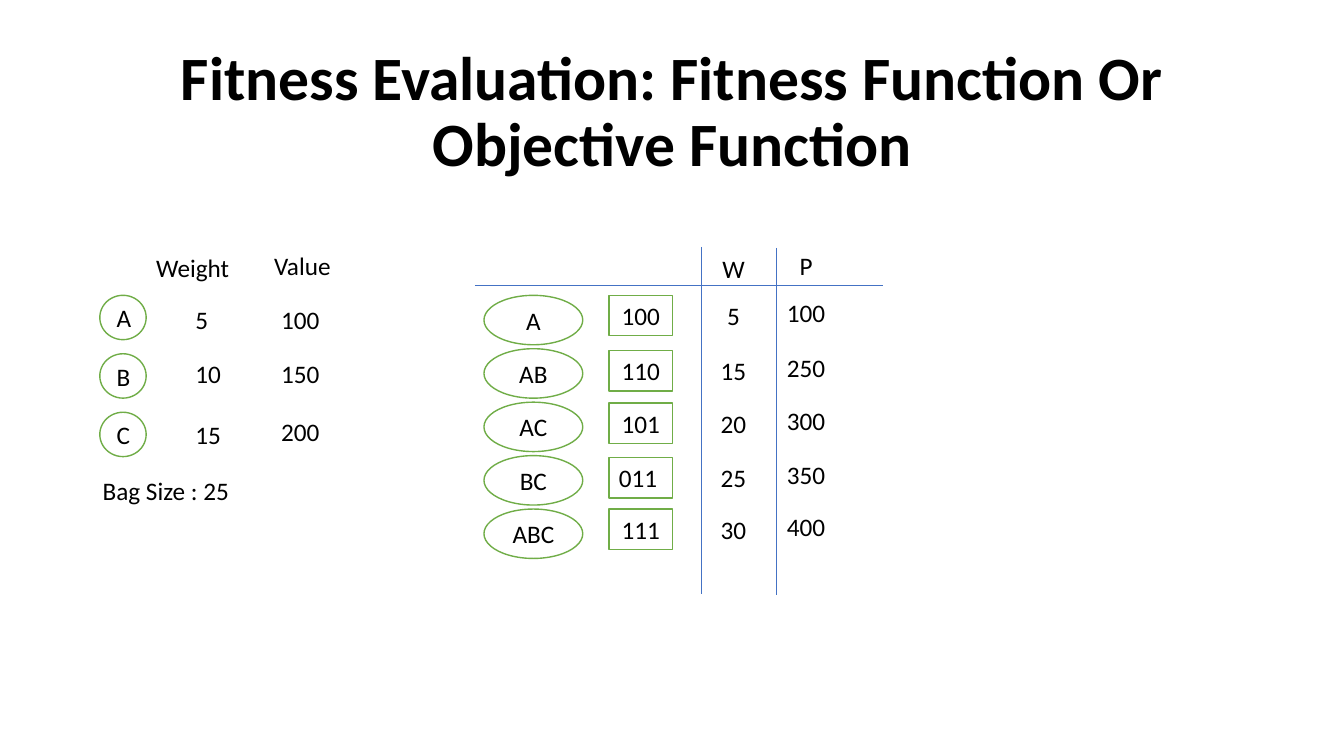
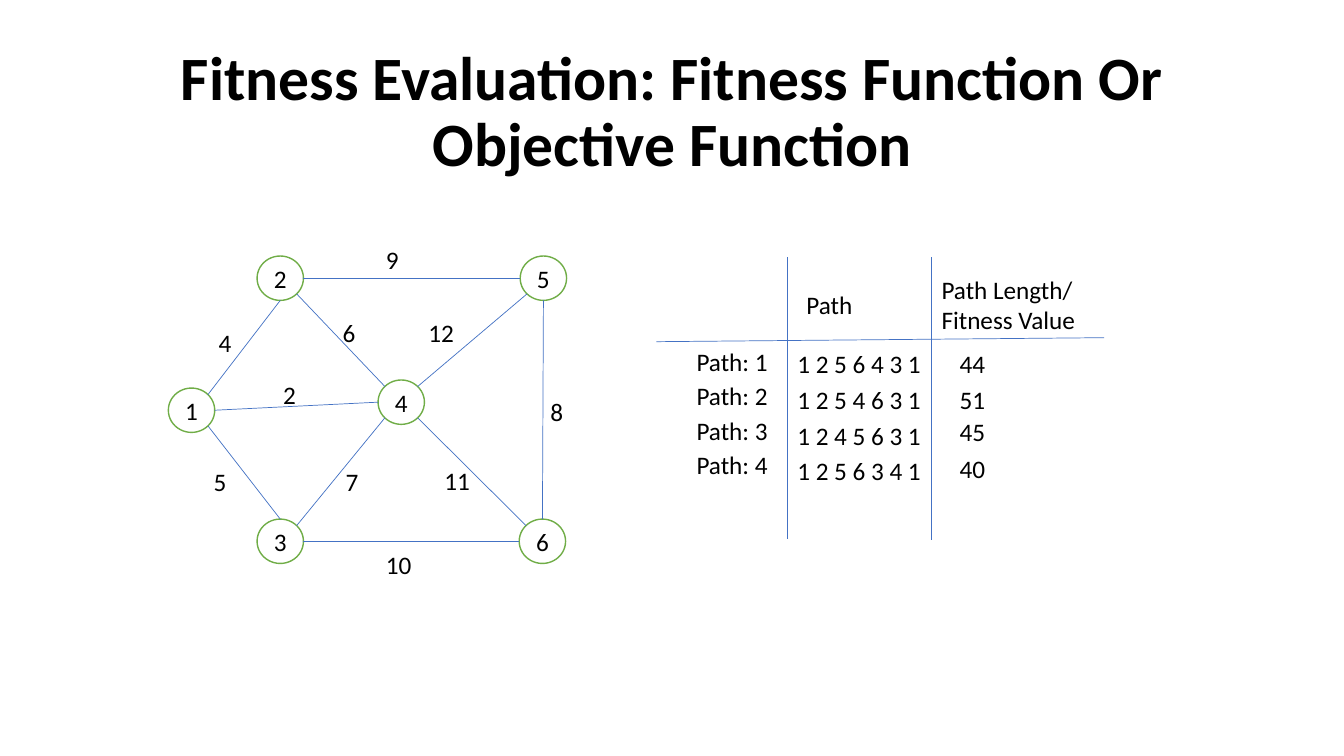
from dataclasses import dataclass
from math import cos, radians, sin
from typing import NamedTuple

from lxml.etree import SubElement
from pptx import Presentation
from pptx.dml.color import RGBColor as Rgb
from pptx.enum.shapes import MSO_CONNECTOR as Wire, MSO_SHAPE as Form
from pptx.enum.text import MSO_ANCHOR as Anchor, MSO_AUTO_SIZE as Fit, PP_ALIGN as Align
from pptx.oxml.ns import qn
from pptx.slide import Slide
from pptx.text.text import TextFrame
from pptx.util import Inches, Pt


@dataclass(frozen=True)
class Theme:
    font: str = "Calibri"
    ink: Rgb = Rgb(0, 0, 0)
    paper: Rgb = Rgb(255, 255, 255)
    green: Rgb = Rgb(0x70, 0xAD, 0x47)
    blue: Rgb = Rgb(0x44, 0x72, 0xC4)
    head: int = 44
    body: int = 18
    edge: float = 1
    rule: float = 0.5


class Label(NamedTuple):
    text: str
    left: float
    top: float
    width: float = 0.85
    height: float = 0.4


class Node(NamedTuple):
    text: str
    left: float
    top: float


class Edge(NamedTuple):
    start: str
    side: str
    end: str
    far: str


class Row(NamedTuple):
    items: str
    code: str
    weight: str
    price: str
    top: float


class Route(NamedTuple):
    name: str
    steps: str
    value: str
    tops: tuple[float, float, float]


THEME = Theme()
TITLE = "Fitness Evaluation: Fitness Function Or Objective Function"
NODE_W, NODE_H = 0.46, 0.44
TURN = {side: 45 * i for i, side in enumerate(("E", "SE", "S", "SW", "W", "NW", "N", "NE"))}


# Shared drawing functions
def style(frame: TextFrame, size: int, align: Align, bold: bool = False) -> None:
    for para in frame.paragraphs:
        para.alignment = align
        for run in para.runs:
            run.font.name = THEME.font
            run.font.size = Pt(size)
            run.font.bold = bold
            run.font.color.rgb = THEME.ink


def add_label(slide: Slide, label: Label) -> None:
    box = slide.shapes.add_textbox(*map(Inches, label[1:]))
    frame = box.text_frame
    frame.word_wrap = True
    frame.auto_size = Fit.SHAPE_TO_FIT_TEXT
    frame.text = label.text
    style(frame, THEME.body, Align.LEFT)


def add_form(slide: Slide, form: Form, label: Label, line: Rgb = THEME.green,
             align: Align = Align.CENTER) -> None:
    shape = slide.shapes.add_shape(form, *map(Inches, label[1:]))
    shape.shadow.inherit = False
    shape.fill.solid()
    shape.fill.fore_color.rgb = THEME.paper
    shape.line.color.rgb = line
    shape.line.width = Pt(THEME.edge)
    shape.text_frame.text = label.text
    style(shape.text_frame, THEME.body, align)


def add_cell(slide: Slide, text: str, left: float, top: float, line: Rgb = THEME.paper,
             align: Align = Align.CENTER) -> None:
    add_form(slide, Form.RECTANGLE, Label(text, left, top, 0.63), line, align)


def add_node(slide: Slide, node: Node) -> None:
    add_form(slide, Form.FLOWCHART_CONNECTOR, Label(*node, NODE_W, NODE_H))


def add_line(slide: Slide, x1: float, y1: float, x2: float, y2: float) -> None:
    line = slide.shapes.add_connector(Wire.STRAIGHT, *map(Inches, (x1, y1, x2, y2)))
    line.line.color.rgb = THEME.blue
    line.line.width = Pt(THEME.rule)
    SubElement(line._element.spPr, qn("a:effectLst"))


def rim(node: Node, side: str) -> tuple[float, float]:
    angle = radians(TURN[side])
    return (node.left + NODE_W / 2 * (1 + cos(angle)),
            node.top + NODE_H / 2 * (1 + sin(angle)))


def add_slide(deck: Presentation) -> Slide:
    slide = deck.slides.add_slide(deck.slide_layouts[6])
    box = slide.shapes.add_textbox(*map(Inches, (0.92, 0.4, 11.5, 1.45)))
    frame = box.text_frame
    frame.word_wrap = True
    frame.vertical_anchor = Anchor.MIDDLE
    frame.text = TITLE
    frame.paragraphs[0].line_spacing = 0.9
    style(frame, THEME.head, Align.CENTER, bold=True)
    return slide


# Bag slide: items on the left, choices on the right
ITEMS = (("A", "5", "100", 2.97, 2.97), ("B", "10", "150", 3.51, 3.51),
         ("C", "15", "200", 4.11, 4.08))
HEADS = (Label("Weight", 1.45, 2.45, 1.16), Label("Value", 2.62, 2.43),
         Label("Bag Size : 25", 0.92, 4.67, 1.56))
ROWS = (
    Row("A", "100", "5", "100", 2.93),
    Row("AB", "110", "15", "250", 3.48),
    Row("AC", "101", "20", "300", 4),
    Row("BC", "011", "25", "350", 4.54),
    Row("ABC", "111", "30", "400", 5.05),
)
BAG_GRID = ((6.96, 2.45, 6.96, 5.89), (7.7, 2.46, 7.7, 5.9), (4.71, 2.83, 8.76, 2.83))


def draw_bag(slide: Slide) -> None:
    for i, (name, weight, value, low, high) in enumerate(ITEMS):
        add_node(slide, Node(name, 0.99, 2.93 + 0.58 * i))
        add_label(slide, Label(weight, 1.84, low))
        add_label(slide, Label(value, 2.69, high))
    for label in HEADS:
        add_label(slide, label)
    for i, row in enumerate(ROWS):
        add_form(slide, Form.OVAL, Label(row.items, 4.8, 2.93 + 0.53 * i, 0.98, 0.49))
        align = Align.LEFT if row.code == "011" else Align.CENTER
        add_cell(slide, row.code, 6.04, row.top, THEME.green, align)
        add_cell(slide, row.weight, 6.96, row.top)
        add_cell(slide, row.price, 7.68, row.top - 0.03)
    add_cell(slide, "W", 6.96, 2.46)
    add_cell(slide, "P", 7.68, 2.43)
    for line in BAG_GRID:
        add_line(slide, *line)


# Route slide: graph on the left, routes on the right
NODES = {node.text: node for node in (
    Node("1", 1.67, 3.85), Node("2", 2.55, 2.54), Node("3", 2.55, 5.15),
    Node("4", 3.75, 3.77), Node("5", 5.16, 2.54), Node("6", 5.15, 5.15),
)}
EDGES = (
    Edge("1", "NE", "2", "S"), Edge("1", "SE", "3", "N"), Edge("1", "E", "4", "W"),
    Edge("2", "E", "5", "W"), Edge("2", "SE", "4", "NW"), Edge("3", "E", "6", "W"),
    Edge("3", "NE", "4", "SW"), Edge("4", "NE", "5", "SW"), Edge("4", "SE", "6", "NW"),
    Edge("5", "S", "6", "N"),
)
COSTS = (("5", 2.02, 4.58), ("8", 5.36, 3.88), ("6", 3.3, 3.1), ("7", 3.33, 4.58),
         ("4", 2.07, 3.2), ("9", 3.73, 2.37), ("10", 3.73, 5.4), ("11", 4.31, 4.57),
         ("12", 4.15, 3.1), ("2", 2.71, 3.71))
ROUTES = (
    Route("Path: 1", "1 2 5 6 4 3 1", "44", (3.39, 3.41, 3.41)),
    Route("Path: 2", "1 2 5 4 6 3 1", "51", (3.72, 3.76, 3.76)),
    Route("Path: 3", "1 2 4 5 6 3 1", "45", (4.07, 4.12, 4.08)),
    Route("Path: 4", "1 2 5 6 3 4 1", "40", (4.41, 4.47, 4.45)),
)
ROUTE_COLS = ((6.81, 1.01), (7.81, 2.39), (9.42, 1.01))
ROUTE_HEADS = (Label("Path", 7.9, 2.82, 1.01),
               Label("Path Length/\nFitness Value", 9.24, 2.67, 1.63, 0.71))
ROUTE_GRID = ((7.81, 2.55, 7.81, 5.35), (9.24, 2.55, 9.24, 5.36), (6.51, 3.39, 10.95, 3.35))


def draw_routes(slide: Slide) -> None:
    for node in NODES.values():
        add_node(slide, node)
    for edge in EDGES:
        add_line(slide, *rim(NODES[edge.start], edge.side), *rim(NODES[edge.end], edge.far))
    for text, left, top in COSTS:
        add_label(slide, Label(text, left, top, 0.57))
    for label in ROUTE_HEADS:
        add_label(slide, label)
    for route in ROUTES:
        for text, top, (left, width) in zip(route[:3], route.tops, ROUTE_COLS):
            add_label(slide, Label(text, left, top, width))
    for line in ROUTE_GRID:
        add_line(slide, *line)


def main() -> None:
    deck = Presentation()
    deck.slide_width, deck.slide_height = Inches(13.33), Inches(7.5)
    for draw in (draw_bag, draw_routes):
        draw(add_slide(deck))
    deck.save("out.pptx")


if __name__ == "__main__":
    main()
